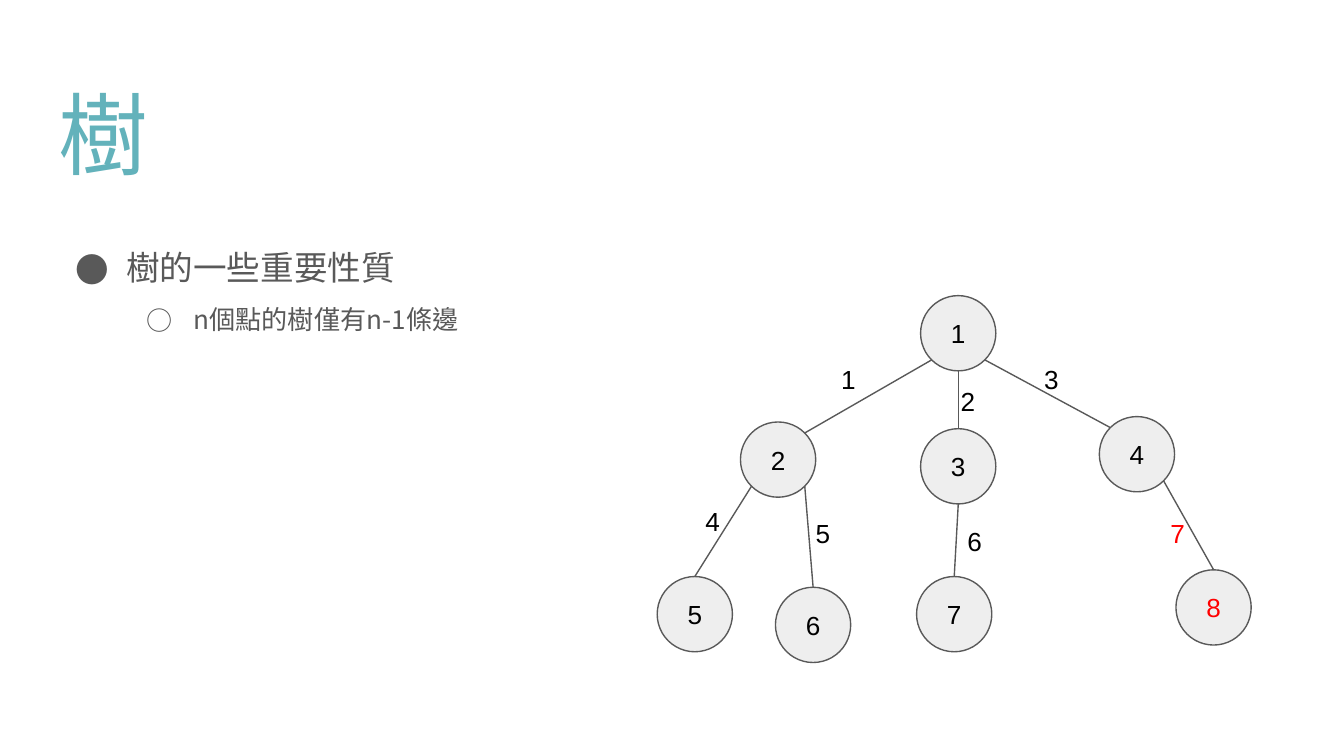
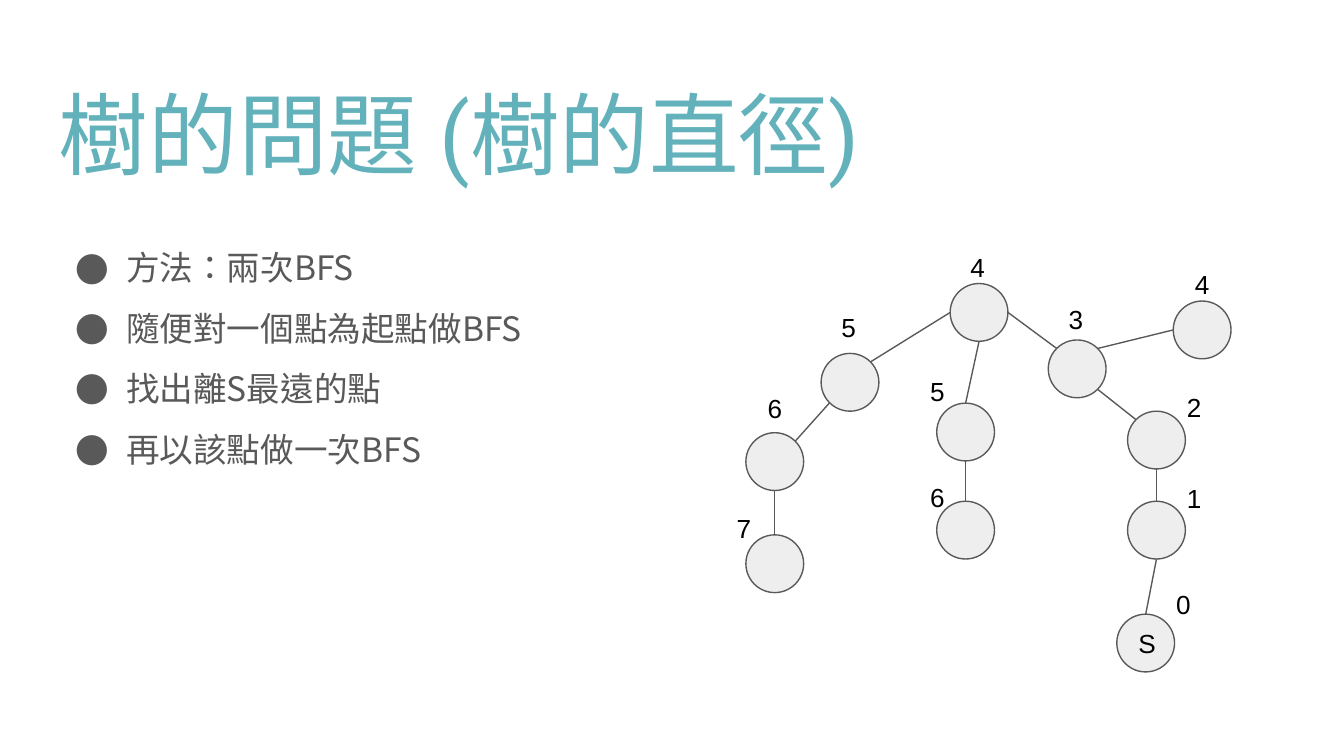
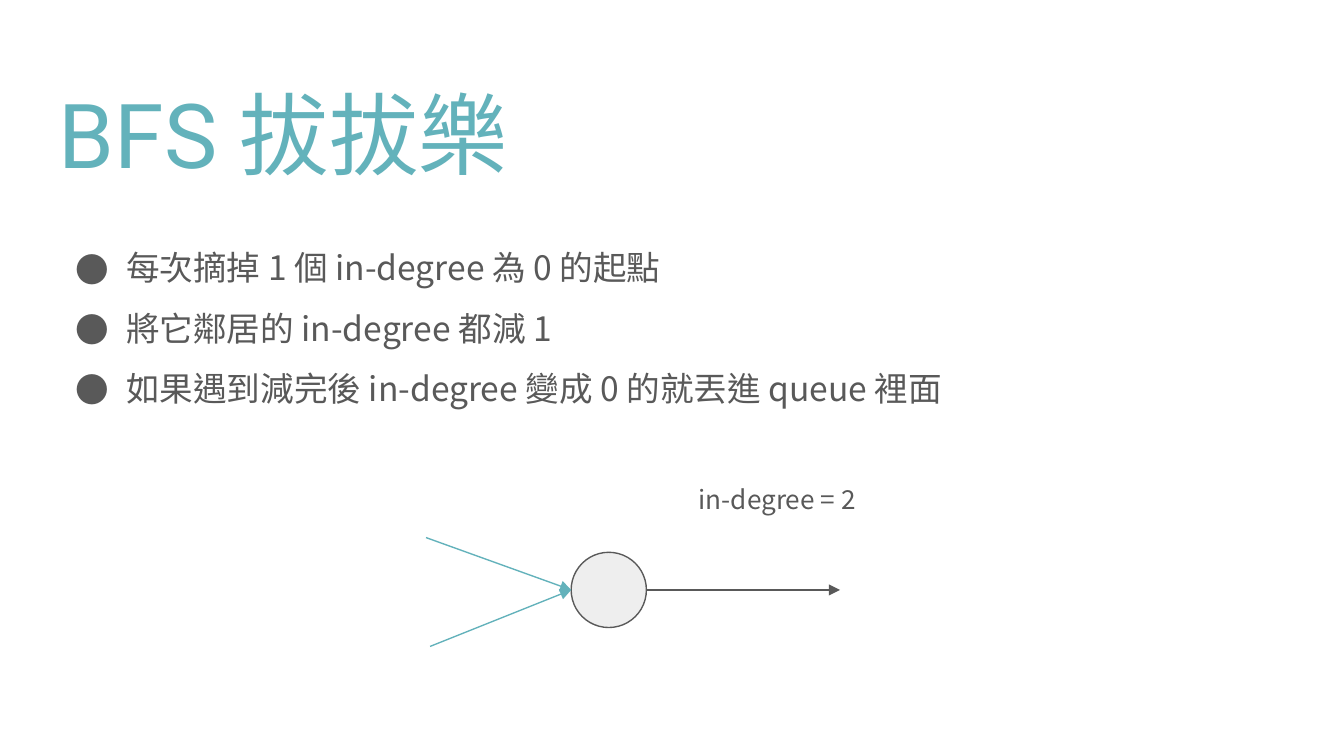
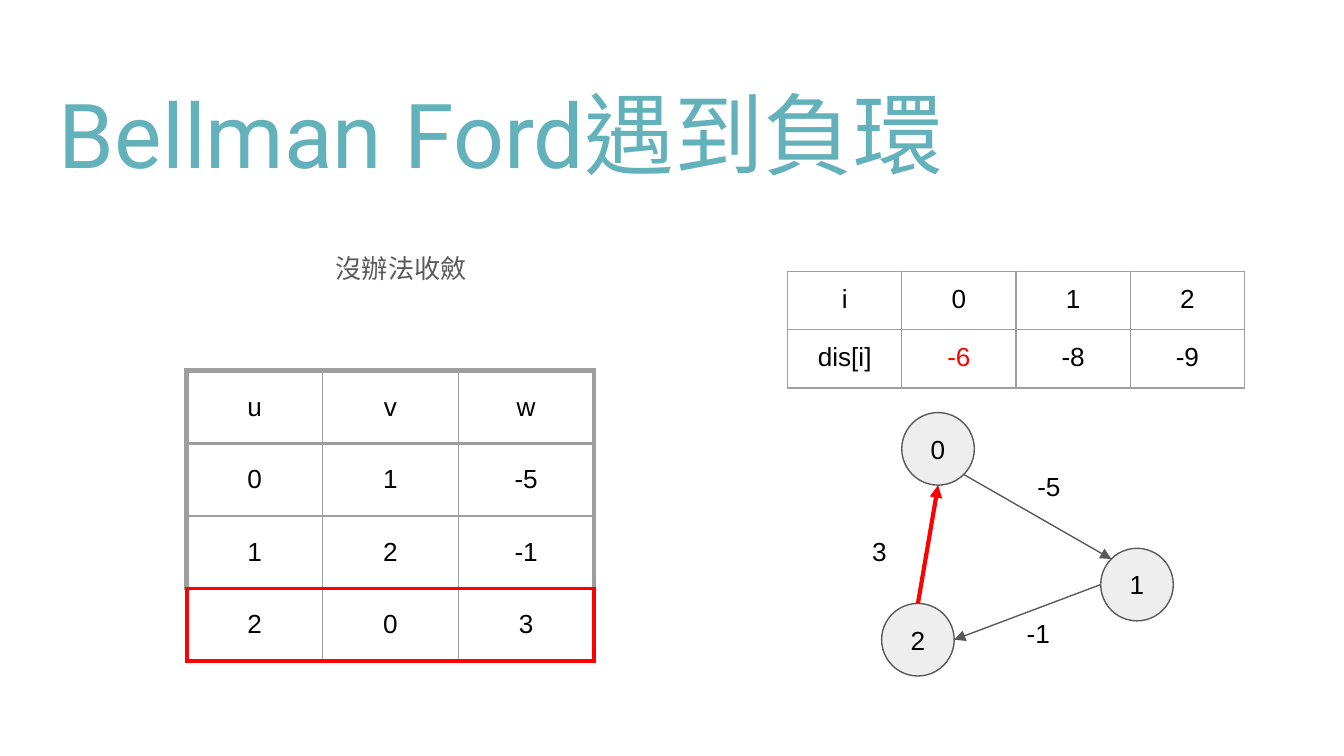
from math import sqrt
from typing import NamedTuple

from lxml.etree import SubElement
from pptx import Presentation
from pptx.dml.color import RGBColor
from pptx.enum.shapes import MSO_CONNECTOR, MSO_SHAPE
from pptx.enum.text import MSO_ANCHOR, PP_ALIGN
from pptx.oxml.ns import qn
from pptx.util import Inches, Pt

COLORS = {
    "title": "63B2BB",
    "body": "595959",
    "node": "EEEEEE",
    "text": "000000",
    "highlight": "FF0000",
    "grid": "9E9E9E",
}
TITLE_FONT, BODY_FONT, LABEL_FONT = "Roboto", "Noto Sans CJK TC", "Arial"
LABEL_SIZE = 14
THIN = 0.75
DIAGONAL = sqrt(0.5)

# Unit directions from the centre of a node to the place where an edge touches it
SITES = {
    "top": (0, -1), "bottom": (0, 1), "left": (-1, 0), "right": (1, 0),
    "top left": (-DIAGONAL, -DIAGONAL), "top right": (DIAGONAL, -DIAGONAL),
    "bottom left": (-DIAGONAL, DIAGONAL), "bottom right": (DIAGONAL, DIAGONAL),
}


class Bullet(NamedTuple):
    text: str
    level: int = 0


class BulletStyle(NamedTuple):
    symbol: str
    size: int
    margin: float
    indent: float


class Node(NamedTuple):
    left: float
    top: float
    text: str = ""
    color: str = "text"
    align: PP_ALIGN = PP_ALIGN.CENTER


class Edge(NamedTuple):
    start: str
    start_site: str
    end: str
    end_site: str
    color: str = "body"
    width: float = THIN


class Label(NamedTuple):
    text: str
    left: float
    top: float
    color: str = "text"


class Border(NamedTuple):
    color: str = "grid"
    width: float = THIN


BULLET_STYLES = (BulletStyle("●", 18, 0.5, -0.38), BulletStyle("○", 14, 1, -0.35))


def rgb(color: str) -> RGBColor:
    return RGBColor.from_string(COLORS[color])


def format_runs(paragraph, font_name: str, size: float, color: str) -> None:
    for run in paragraph.runs:
        run.font.name = font_name
        run.font.size = Pt(size)
        run.font.color.rgb = rgb(color)
        run.font._element.set("lang", "zh-TW")
        east_asian = SubElement(run.font._element, qn("a:ea"))
        east_asian.set("typeface", font_name)


def set_margins(target) -> None:
    """Give a text frame or a table cell the same margin on every side."""
    target.margin_left = target.margin_right = Inches(0.1)
    target.margin_top = target.margin_bottom = Inches(0.1)


def add_text(slide, text: str, left: float, top: float, width: float, height: float,
             font_name: str = LABEL_FONT, size: float = LABEL_SIZE, color: str = "text",
             align: PP_ALIGN = PP_ALIGN.LEFT, anchor: MSO_ANCHOR = MSO_ANCHOR.TOP) -> None:
    shape = slide.shapes.add_textbox(Inches(left), Inches(top), Inches(width), Inches(height))
    text_frame = shape.text_frame
    text_frame.word_wrap = True
    text_frame.vertical_anchor = anchor
    set_margins(text_frame)
    text_frame.text = text
    paragraph = text_frame.paragraphs[0]
    paragraph.alignment = align
    format_runs(paragraph, font_name, size, color)


def add_titled_slide(presentation, title: str):
    slide = presentation.slides.add_slide(presentation.slide_layouts[6])
    add_text(slide, title, 0.34, 0.49, 9.32, 0.99, TITLE_FONT, 48, "title",
             anchor=MSO_ANCHOR.MIDDLE)
    return slide


def add_bullets(slide, bullets: list[Bullet]) -> None:
    shape = slide.shapes.add_textbox(Inches(0.34), Inches(1.59), Inches(9.32), Inches(3.4))
    text_frame = shape.text_frame
    text_frame.word_wrap = True
    set_margins(text_frame)
    text_frame.text = "\n".join(bullet.text for bullet in bullets)
    for bullet, paragraph in zip(bullets, text_frame.paragraphs):
        style = BULLET_STYLES[bullet.level]
        paragraph.level = bullet.level
        paragraph.line_spacing = 1.5
        properties = paragraph._p.get_or_add_pPr()
        properties.set("marL", str(Inches(style.margin)))
        properties.set("indent", str(Inches(style.indent)))
        bullet_color = SubElement(properties, qn("a:buClr"))
        SubElement(bullet_color, qn("a:srgbClr")).set("val", COLORS["body"])
        SubElement(properties, qn("a:buFont")).set("typeface", BODY_FONT)
        SubElement(properties, qn("a:buChar")).set("char", style.symbol)
        format_runs(paragraph, BODY_FONT, style.size, "body")


def add_node(slide, node: Node, diameter: float) -> None:
    shape = slide.shapes.add_shape(MSO_SHAPE.OVAL, Inches(node.left), Inches(node.top),
                                   Inches(diameter), Inches(diameter))
    shape.shadow.inherit = False
    shape.fill.solid()
    shape.fill.fore_color.rgb = rgb("node")
    shape.line.color.rgb = rgb("body")
    shape.line.width = Pt(THIN)
    if node.text:
        text_frame = shape.text_frame
        set_margins(text_frame)
        text_frame.vertical_anchor = MSO_ANCHOR.MIDDLE
        text_frame.text = node.text
        paragraph = text_frame.paragraphs[0]
        paragraph.alignment = node.align
        format_runs(paragraph, LABEL_FONT, LABEL_SIZE, node.color)


def add_line(slide, start: tuple[float, float], end: tuple[float, float],
             color: str = "body", width: float = THIN, arrow: bool = False) -> None:
    connector = slide.shapes.add_connector(
        MSO_CONNECTOR.STRAIGHT, *(Inches(value) for value in (*start, *end)))
    connector.line.color.rgb = rgb(color)
    connector.line.width = Pt(width)
    if arrow:
        SubElement(connector.line._get_or_add_ln(), qn("a:tailEnd")).set("type", "triangle")
    SubElement(connector._element.spPr, qn("a:effectLst"))


def site_point(node: Node, site: str, diameter: float) -> tuple[float, float]:
    radius = diameter / 2
    across, down = SITES[site]
    return node.left + radius * (1 + across), node.top + radius * (1 + down)


def add_graph(slide, nodes: dict[str, Node], edges: list[Edge], diameter: float,
              arrow: bool = False) -> None:
    for node in nodes.values():
        add_node(slide, node, diameter)
    for edge in edges:
        add_line(slide, site_point(nodes[edge.start], edge.start_site, diameter),
                 site_point(nodes[edge.end], edge.end_site, diameter),
                 edge.color, edge.width, arrow)


def add_labels(slide, labels: list[Label], width: float, height: float,
               align: PP_ALIGN = PP_ALIGN.LEFT) -> None:
    for label in labels:
        add_text(slide, label.text, label.left, label.top, width, height,
                 color=label.color, align=align)


def set_borders(cell, borders: dict[str, Border]) -> None:
    properties = cell._tc.get_or_add_tcPr()
    for side in "LRTB":
        line = SubElement(properties, qn(f"a:ln{side}"))
        line.set("w", str(Pt(borders[side].width)))
        fill = SubElement(line, qn("a:solidFill"))
        SubElement(fill, qn("a:srgbClr")).set("val", COLORS[borders[side].color])


def add_grid(slide, rows: list[list[str]], left: float, top: float, column_width: float,
             row_height: float, anchor: MSO_ANCHOR, horizontal: list[Border],
             outer: list[Border], highlighted: str = "") -> None:
    """Draw a table; horizontal has one border per row edge, outer one per row."""
    column_count = len(rows[0])
    table = slide.shapes.add_table(
        len(rows), column_count, Inches(left), Inches(top),
        Inches(column_width * column_count), Inches(row_height * len(rows))).table
    table.first_row = table.horz_banding = False
    for column in table.columns:
        column.width = Inches(column_width)
    for row_index, row in enumerate(rows):
        table.rows[row_index].height = Inches(row_height)
        for column_index, text in enumerate(row):
            cell = table.cell(row_index, column_index)
            set_margins(cell)
            cell.vertical_anchor = anchor
            cell.text = text
            paragraph = cell.text_frame.paragraphs[0]
            paragraph.alignment = PP_ALIGN.CENTER
            format_runs(paragraph, LABEL_FONT, LABEL_SIZE,
                        "highlight" if text == highlighted else "text")
            set_borders(cell, {
                "L": outer[row_index] if column_index == 0 else Border(),
                "R": outer[row_index] if column_index == column_count - 1 else Border(),
                "T": horizontal[row_index],
                "B": horizontal[row_index + 1],
            })
            cell.fill.background()


def build_tree_slide(presentation) -> None:
    slide = add_titled_slide(presentation, "樹")
    add_bullets(slide, [Bullet("樹的一些重要性質"), Bullet("n個點的樹僅有n-1條邊", 1)])
    positions = [(6.85, 2.2), (5.51, 3.14), (6.85, 3.19), (8.18, 3.1),
                 (4.89, 4.29), (5.77, 4.37), (6.82, 4.29), (8.75, 4.24)]
    nodes = {str(number): Node(*position, str(number))
             for number, position in enumerate(positions, 1)}
    nodes["8"] = nodes["8"]._replace(color="highlight")
    edges = [
        Edge("1", "bottom left", "2", "top right"),
        Edge("1", "bottom", "3", "top"),
        Edge("1", "bottom right", "4", "top left"),
        Edge("2", "bottom left", "5", "top"),
        Edge("2", "bottom right", "6", "top"),
        Edge("3", "bottom", "7", "top"),
        Edge("4", "bottom right", "8", "top"),
    ]
    add_graph(slide, nodes, edges, 0.56)
    add_labels(slide, [
        Label("1", 6.16, 2.6), Label("2", 7.05, 2.77), Label("3", 7.67, 2.6),
        Label("4", 5.15, 3.66), Label("5", 5.97, 3.75), Label("6", 7.1, 3.81),
        Label("7", 8.61, 3.75, "highlight"),
    ], 0.36, 0.42)


def build_diameter_slide(presentation) -> None:
    slide = add_titled_slide(presentation, "樹的問題 (樹的直徑)")
    add_bullets(slide, [Bullet("方法：兩次BFS"), Bullet("隨便對一個點為起點做BFS"),
                        Bullet("找出離S最遠的點"), Bullet("再以該點做一次BFS")])
    nodes = {
        "root": Node(7.07, 2.11),
        "left 1": Node(6.11, 2.63), "left 2": Node(5.55, 3.22), "left 3": Node(5.55, 3.98),
        "middle 1": Node(6.97, 3), "middle 2": Node(6.97, 3.73),
        "right 1": Node(7.8, 2.53), "right 2": Node(8.39, 3.06), "right 3": Node(8.39, 3.73),
        "branch": Node(8.73, 2.24),
        "start": Node(8.31, 4.57, "S", align=PP_ALIGN.LEFT),
    }
    edges = [
        Edge("left 3", "top", "left 2", "bottom"),
        Edge("left 2", "top right", "left 1", "bottom left"),
        Edge("left 1", "top right", "root", "left"),
        Edge("root", "bottom", "middle 1", "top"),
        Edge("middle 1", "bottom", "middle 2", "top"),
        Edge("root", "right", "right 1", "top left"),
        Edge("right 1", "top right", "branch", "left"),
        Edge("right 1", "bottom right", "right 2", "top left"),
        Edge("right 2", "bottom", "right 3", "top"),
        Edge("right 3", "bottom", "start", "top"),
    ]
    add_graph(slide, nodes, edges, 0.43)
    add_labels(slide, [
        Label("4", 6.99, 1.77), Label("5", 6.03, 2.22), Label("6", 5.48, 2.82),
        Label("7", 5.25, 3.71), Label("5", 6.69, 2.69), Label("6", 6.69, 3.48),
        Label("3", 7.72, 2.16), Label("4", 8.66, 1.9), Label("2", 8.6, 2.81),
        Label("1", 8.6, 3.49), Label("0", 8.52, 4.28),
    ], 0.57, 0.47, PP_ALIGN.CENTER)


def build_in_degree_slide(presentation) -> None:
    slide = add_titled_slide(presentation, "BFS 拔拔樂")
    add_bullets(slide, [Bullet("每次摘掉 1 個 in-degree 為 0 的起點"),
                        Bullet("將它鄰居的 in-degree 都減 1"),
                        Bullet("如果遇到減完後 in-degree 變成 0 的就丟進 queue 裡面")])
    node, diameter = Node(4.25, 4.11), 0.56
    add_node(slide, node, diameter)
    for source in ((3.2, 4.81), (3.17, 4)):
        add_line(slide, source, site_point(node, "left", diameter), "title", arrow=True)
    exit_point = site_point(node, "right", diameter)
    add_line(slide, exit_point, (6.25, exit_point[1]), arrow=True)
    add_text(slide, "in-degree = 2", 5.1, 3.5, 1.78, 0.42, BODY_FONT, color="body")


def build_negative_cycle_slide(presentation) -> None:
    slide = add_titled_slide(presentation, "Bellman Ford遇到負環")
    nodes = {"0": Node(6.71, 3.07, "0"), "1": Node(8.19, 4.08, "1"), "2": Node(6.56, 4.49, "2")}
    edges = [
        Edge("0", "bottom right", "1", "top left"),
        Edge("1", "left", "2", "right"),
        Edge("2", "top", "0", "bottom", "highlight", 2.25),
    ]
    add_graph(slide, nodes, edges, 0.54, arrow=True)
    add_labels(slide, [Label("-5", 7.62, 3.4), Label("-1", 7.54, 4.49), Label("3", 6.39, 3.88)],
               0.64, 0.48)
    add_grid(slide, [["i", "0", "1", "2"], ["dis[i]", "-6", "-8", "-9"]],
             5.86, 2.02, 0.85, 0.4, MSO_ANCHOR.TOP,
             [Border()] * 3, [Border()] * 2, highlighted="-6")
    frame, current = Border(width=3), Border("highlight", 2.25)
    add_grid(slide, [["u", "v", "w"], ["0", "1", "-5"], ["1", "2", "-1"], ["2", "0", "3"]],
             1.39, 2.76, 1.01, 0.54, MSO_ANCHOR.MIDDLE,
             [frame, Border(width=2.25), Border(), current, current],
             [frame, frame, frame, current])
    add_text(slide, "沒辦法收斂", 2.4, 1.78, 3.39, 0.48, BODY_FONT, color="body")


def main() -> None:
    presentation = Presentation()
    presentation.slide_width = Inches(10)
    presentation.slide_height = presentation.slide_width * 9 // 16
    build_tree_slide(presentation)
    build_diameter_slide(presentation)
    build_in_degree_slide(presentation)
    build_negative_cycle_slide(presentation)
    presentation.save("out.pptx")


if __name__ == "__main__":
    main()
